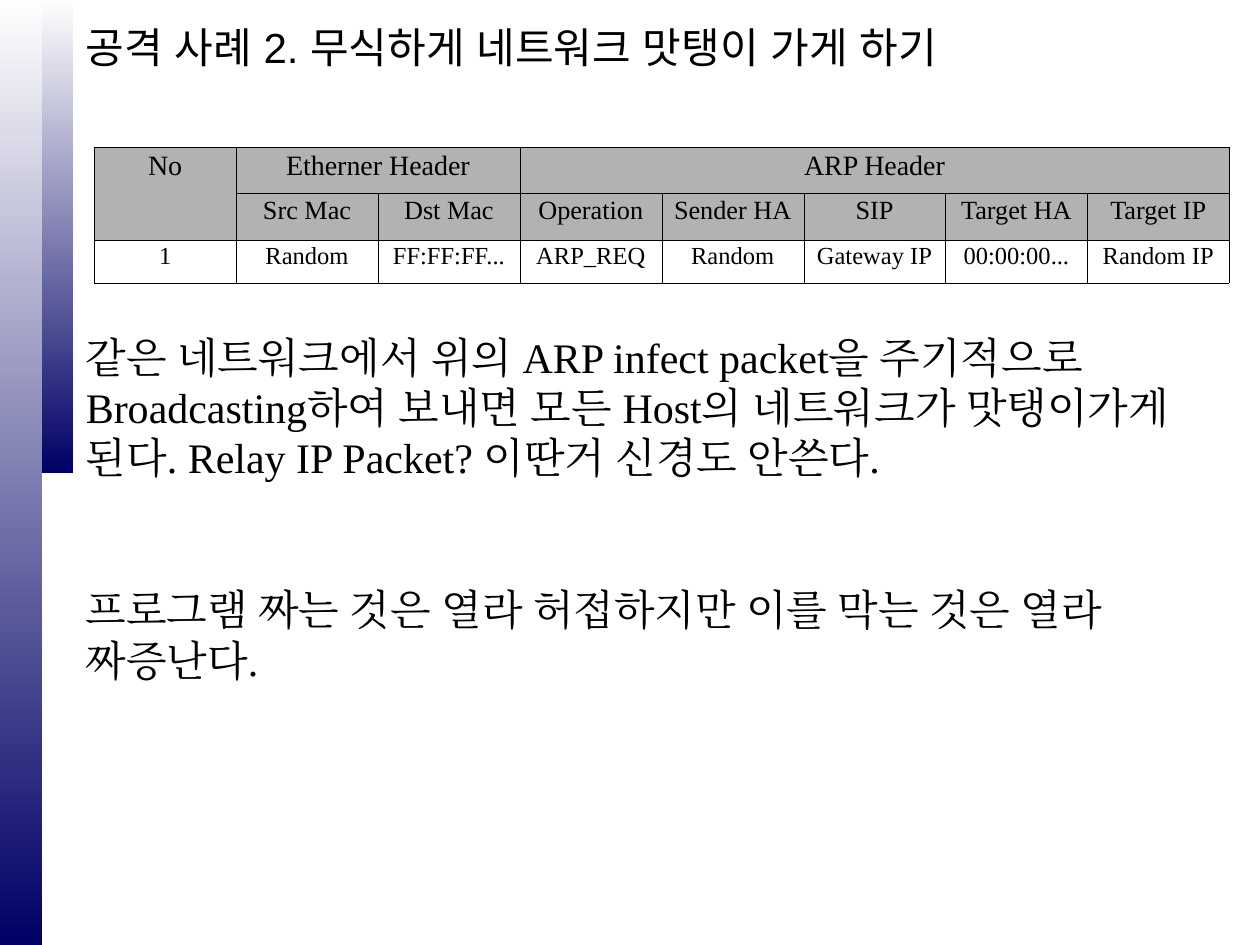
from dataclasses import dataclass

from lxml.etree import SubElement
from pptx import Presentation
from pptx.dml.color import RGBColor
from pptx.enum.shapes import MSO_SHAPE
from pptx.enum.text import MSO_ANCHOR as Anchor, PP_ALIGN as Align
from pptx.oxml.ns import qn
from pptx.util import Cm, Pt


@dataclass(frozen=True)
class Theme:
    black: str = "000000"
    header_fill: str = "B2B2B2"
    bar_top: str = "FEFEFE"
    bar_bottom: str = "000066"
    heading_font: str = "Arial"
    body_font: str = "Times New Roman"
    text_size: int = 24
    row_sizes: tuple = (16, 15, 14)
    border: float = 0.06


THEME = Theme()
NO_STYLE = "{2D5ABB26-0587-4C30-8999-92F81FD0307C}"

TITLE = "공격 사례 2. 무식하게 네트워크 맛탱이 가게 하기"
BODY = [
    "같은 네트워크에서 위의 ARP infect packet을 주기적으로 Broadcasting하여 보내면 "
    "모든 Host의 네트워크가 맛탱이가게 된다. Relay IP Packet? 이딴거 신경도 안쓴다.",
    "프로그램 짜는 것은 열라 허접하지만 이를 막는 것은 열라 짜증난다.",
]
PACKET_ROWS = [
    ["No", "Etherner Header", "", "ARP Header", "", "", "", ""],
    ["", "Src Mac", "Dst Mac", "Operation", "Sender HA", "SIP", "Target HA", "Target IP"],
    ["1", "Random", "FF:FF:FF...", "ARP_REQ", "Random", "Gateway IP", "00:00:00...", "Random IP"],
]
ROW_HEIGHTS = [0.93, 0.93, 0.88]
COLUMN_WIDTH = 2.86
MERGES = [((0, 0), (1, 0)), ((0, 1), (0, 2)), ((0, 3), (0, 7))]

# Ruled lines: columns under each horizontal line, column edges in each row
HORIZONTAL_LINES = [set(range(8)), {1, 3}, set(range(8)), set(range(8))]
VERTICAL_LINES = [{0, 1, 3, 8}, {0, *range(2, 9)}, set(range(9))]


def write_text(frame, paragraphs, *, font, size, align=None, line_spacing=None, gap=0):
    for index, text in enumerate(paragraphs):
        paragraph = frame.paragraphs[0] if index == 0 else frame.add_paragraph()
        paragraph.alignment = align
        paragraph.line_spacing = line_spacing
        if index:
            paragraph.space_before = Pt(gap)
        run = paragraph.add_run()
        run.text = text
        run.font.name = font
        run.font.size = Pt(size)
        run.font.color.rgb = RGBColor.from_string(THEME.black)
        # Hangul takes its typeface from the East Asian slot
        SubElement(run.font._element, qn("a:ea"), typeface=font)


def add_text_box(slide, top, height, paragraphs, *, anchor=Anchor.TOP,
                 margin_right=0.25, **text_format):
    box = slide.shapes.add_textbox(Cm(1.48), Cm(top), Cm(23.92), Cm(height))
    frame = box.text_frame
    frame.word_wrap = True
    frame.vertical_anchor = anchor
    frame.margin_right = Cm(margin_right)
    write_text(frame, paragraphs, size=THEME.text_size, **text_format)


def add_gradient_bar(slide, left, height):
    bar = slide.shapes.add_shape(MSO_SHAPE.RECTANGLE, Cm(left), 0, Cm(0.84), Cm(height))
    bar.shadow.inherit = False
    bar.line.fill.background()
    bar.fill.gradient()
    bar.fill.gradient_angle = 270
    for stop, color in zip(bar.fill.gradient_stops, (THEME.bar_top, THEME.bar_bottom)):
        stop.color.rgb = RGBColor.from_string(color)


def set_borders(cell, row, column):
    edges = {
        "a:lnL": column in VERTICAL_LINES[row],
        "a:lnR": column + cell.span_width in VERTICAL_LINES[row],
        "a:lnT": column in HORIZONTAL_LINES[row],
        "a:lnB": column in HORIZONTAL_LINES[row + 1],
    }
    properties = cell._tc.get_or_add_tcPr()
    for tag, visible in edges.items():
        if visible:
            line = SubElement(properties, qn(tag), w=str(Pt(THEME.border)))
            fill = SubElement(line, qn("a:solidFill"))
            SubElement(fill, qn("a:srgbClr"), val=THEME.black)


def format_cell(cell, row, column):
    cell.margin_left = cell.margin_right = Cm(0.05)
    cell.margin_top = cell.margin_bottom = Cm(0.13)
    set_borders(cell, row, column)
    if row < 2:
        cell.fill.solid()
        cell.fill.fore_color.rgb = RGBColor.from_string(THEME.header_fill)
    else:
        cell.fill.background()


def add_packet_table(slide):
    columns = len(PACKET_ROWS[0])
    frame = slide.shapes.add_table(
        len(PACKET_ROWS), columns, Cm(1.9), Cm(2.97),
        Cm(COLUMN_WIDTH * columns), Cm(sum(ROW_HEIGHTS)))
    table = frame.table
    table.first_row = table.horz_banding = False
    table._tbl.tblPr.find(qn("a:tableStyleId")).text = NO_STYLE
    for column in table.columns:
        column.width = Cm(COLUMN_WIDTH)
    for start, end in MERGES:
        table.cell(*start).merge(table.cell(*end))
    for row, texts in enumerate(PACKET_ROWS):
        table.rows[row].height = Cm(ROW_HEIGHTS[row])
        for column, text in enumerate(texts):
            cell = table.cell(row, column)
            format_cell(cell, row, column)
            if text:
                write_text(cell.text_frame, [text], font=THEME.body_font,
                           size=THEME.row_sizes[row], align=Align.CENTER, line_spacing=0.86)


def main():
    presentation = Presentation()
    presentation.slide_width, presentation.slide_height = Cm(25.4), Cm(19.05)
    slide = presentation.slides.add_slide(presentation.slide_layouts[6])

    # Side bars
    add_gradient_bar(slide, left=0.64, height=9.53)
    add_gradient_bar(slide, left=0, height=19.05)

    # Title, packet table and explanation
    add_text_box(slide, 0.3, 1.27, [TITLE], anchor=Anchor.MIDDLE, font=THEME.heading_font)
    add_packet_table(slide)
    add_text_box(slide, 6.55, 7.42, BODY, margin_right=1.2, font=THEME.body_font, gap=58)

    presentation.save("out.pptx")


if __name__ == "__main__":
    main()
